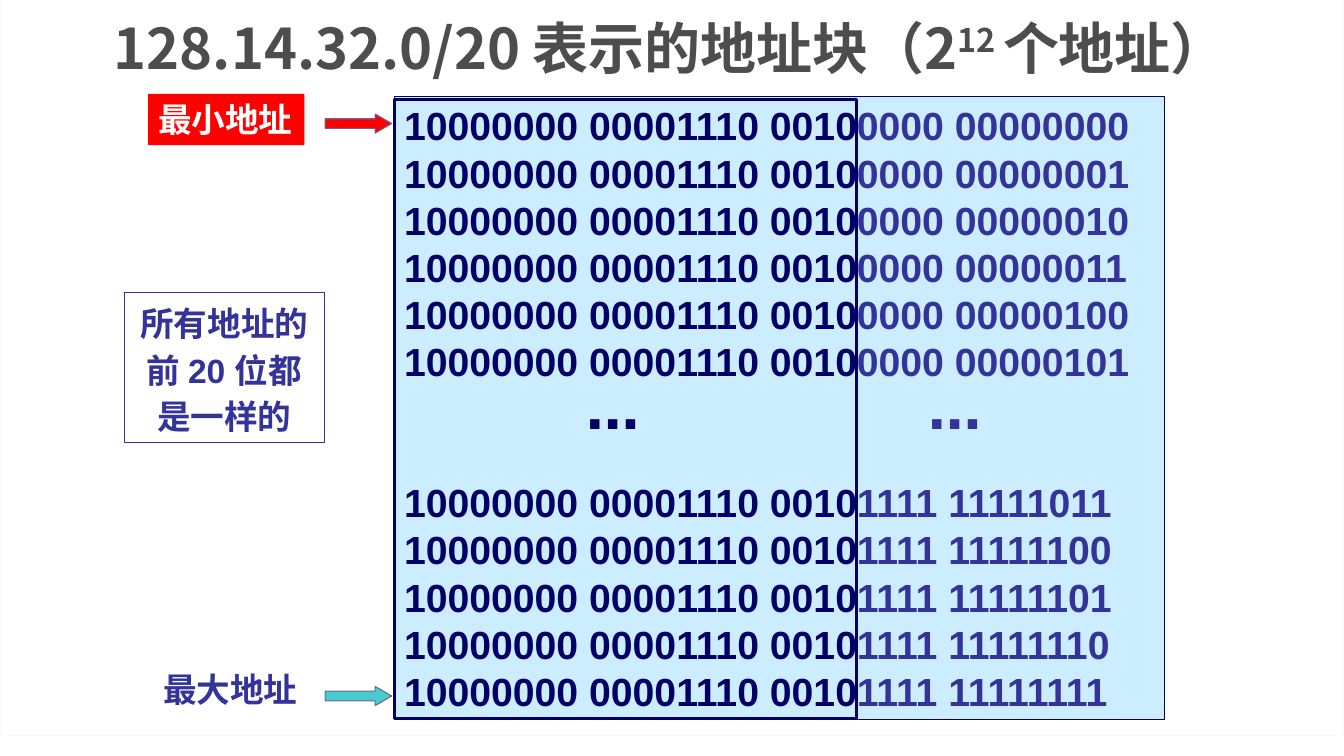
"""Build the slide showing the 128.14.32.0/20 address block."""
from dataclasses import dataclass

from pptx import Presentation
from pptx import util as u
from pptx.dml.color import RGBColor
from pptx.enum import shapes, text
from pptx.oxml import ns
from lxml import etree

Pt = u.Pt


@dataclass(frozen=True)
class Theme:
    title: str = "4D4D4D"
    prefix: str = "000066"
    host: str = "333399"
    block: str = "CCECFF"
    low: str = "FF0000"
    high: str = "49CACD"
    edge: str = "666699"
    frame: str = "F8F8F8"
    white: str = "FFFFFF"
    title_size: int = 40
    address_size: int = 28
    label_size: int = 24
    dots_size: int = 54
    cjk: str = "Noto Sans CJK SC"
    latin: str = "Arial"
    label: str = "Cabin"


theme = Theme()


def add_text(para, words, *, size, color, font, raised=0):
    span = para.add_run()
    span.text = words
    span.font.size = Pt(size)
    span.font.bold = True
    span.font.name = font
    span.font.color.rgb = RGBColor.from_string(color)
    properties = span.font._element
    etree.SubElement(properties, ns.qn("a:ea")).set("typeface", theme.cjk)
    if raised:
        properties.set("baseline", str(raised * 1000))


def add_box(place, *, kind=shapes.MSO_SHAPE.RECTANGLE, fill=None, line=None, width=0.75, wrap=True):
    box = page.shapes.add_shape(kind, *map(Pt, place))
    box.shadow.inherit = False
    if fill:
        box.fill.solid()
        box.fill.fore_color.rgb = RGBColor.from_string(fill)
    else:
        box.fill.background()
    if line:
        box.line.color.rgb = RGBColor.from_string(line)
        box.line.width = Pt(width)
    else:
        box.line.fill.background()
    box.text_frame.word_wrap = wrap
    box.text_frame.vertical_anchor = text.MSO_ANCHOR.TOP
    box.text_frame.paragraphs[0].alignment = text.PP_ALIGN.LEFT
    return box


deck = Presentation()
deck.slide_width, deck.slide_height = Pt(960), Pt(540)
page = deck.slides.add_slide(deck.slide_layouts[5])

add_box((0, 0, 960, 525.6), line=theme.frame)

title = page.shapes.title
title.left, title.top, title.width, title.height = map(Pt, (46.8, 1.4, 864, 64))
title.text_frame.vertical_anchor = text.MSO_ANCHOR.MIDDLE
para = title.text_frame.paragraphs[0]
para.alignment = text.PP_ALIGN.CENTER
for words, raised in (("128.14.32.0/20 表示的地址块（2", 0), ("12 ", 30), ("个地址）", 0)):
    add_text(para, words, size=theme.title_size, color=theme.title, font=theme.cjk, raised=raised)

pitch = 33.65
prefix = "10000000 00001110 0010"
first_hosts = [f"0000 {number:08b}" for number in range(6)]
last_hosts = [f"1111 {number:08b}" for number in range(251, 256)]
block = add_box((281.5, 69.1, 550, 445), fill=theme.block, line=theme.prefix)
for index, host in enumerate(first_hosts + last_hosts):
    para = block.text_frame.add_paragraph() if index else block.text_frame.paragraphs[0]
    para.alignment = text.PP_ALIGN.LEFT
    para.line_spacing = Pt(pitch)
    if index == len(first_hosts):
        para.space_before = Pt(2 * pitch)
    add_text(para, prefix, size=theme.address_size, color=theme.prefix, font=theme.latin)
    add_text(para, host, size=theme.address_size, color=theme.host, font=theme.latin)

for left, color in ((655.9, theme.host), (411.8, theme.prefix)):
    dots = add_box((left, 249.1, 68.4, 72), wrap=False)
    add_text(dots.text_frame.paragraphs[0], "…", size=theme.dots_size, color=color, font=theme.label)

add_box((281.5, 71.3, 330.5, 442), line=theme.prefix, width=2.25)

note = add_box((88.6, 208.8, 143.3, 107.3), line=theme.host)
para = note.text_frame.paragraphs[0]
para.alignment = text.PP_ALIGN.CENTER
para.line_spacing = 1.15
add_text(para, "所有地址的前 20 位都是一样的", size=theme.label_size, color=theme.host, font=theme.latin)

ends = (
    ("最小地址", 105.8, 67, theme.low, theme.white, 81.4, theme.low),
    ("最大地址", 109.4, 474.5, None, theme.host, 490.3, theme.high),
)
for words, left, top, fill, color, arrow_top, arrow_fill in ends:
    label = add_box((left, top, 111.6, 36.7), fill=fill, wrap=False)
    add_text(label.text_frame.paragraphs[0], words, size=theme.label_size, color=color, font=theme.label)
    arrow = add_box((232.3, arrow_top, 47.5, 13.7), kind=shapes.MSO_SHAPE.RIGHT_ARROW,
                    fill=arrow_fill, line=theme.edge)
    arrow.adjustments[0] = 0.5
    arrow.adjustments[1] = 0.86

deck.save("out.pptx")
